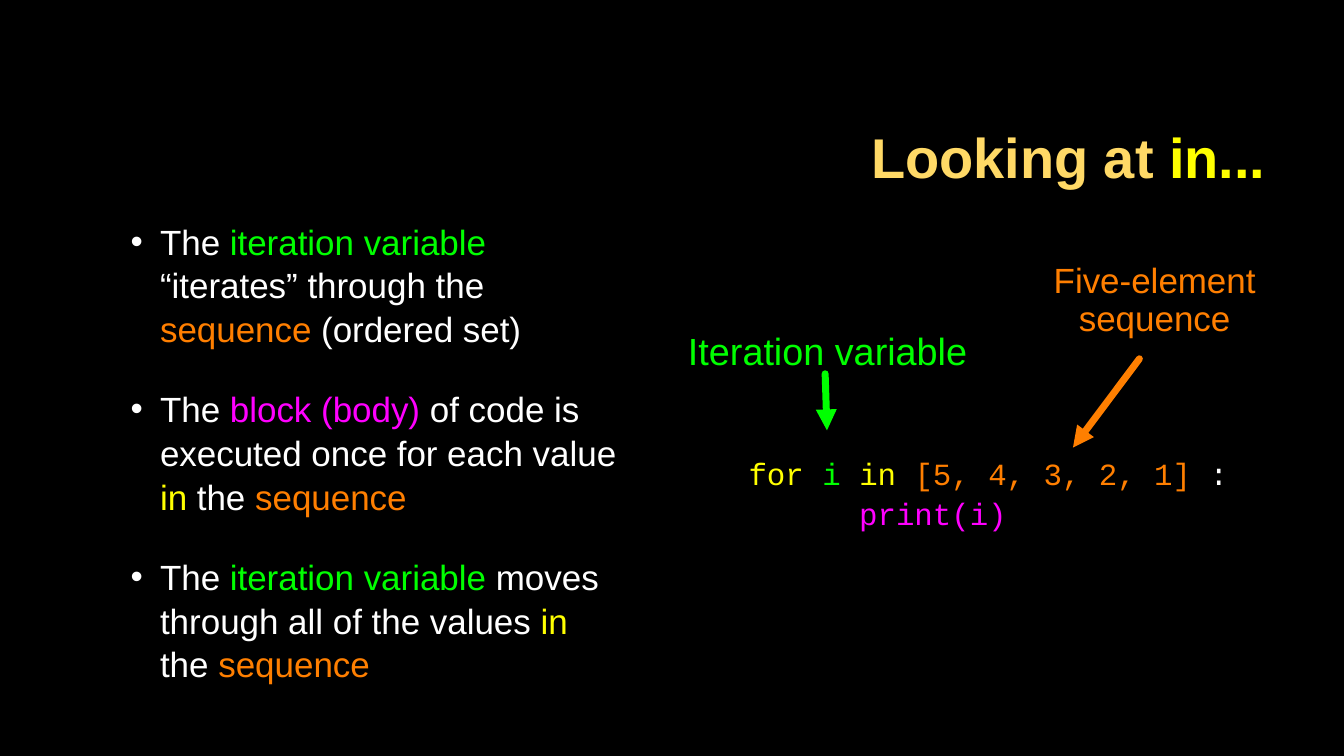
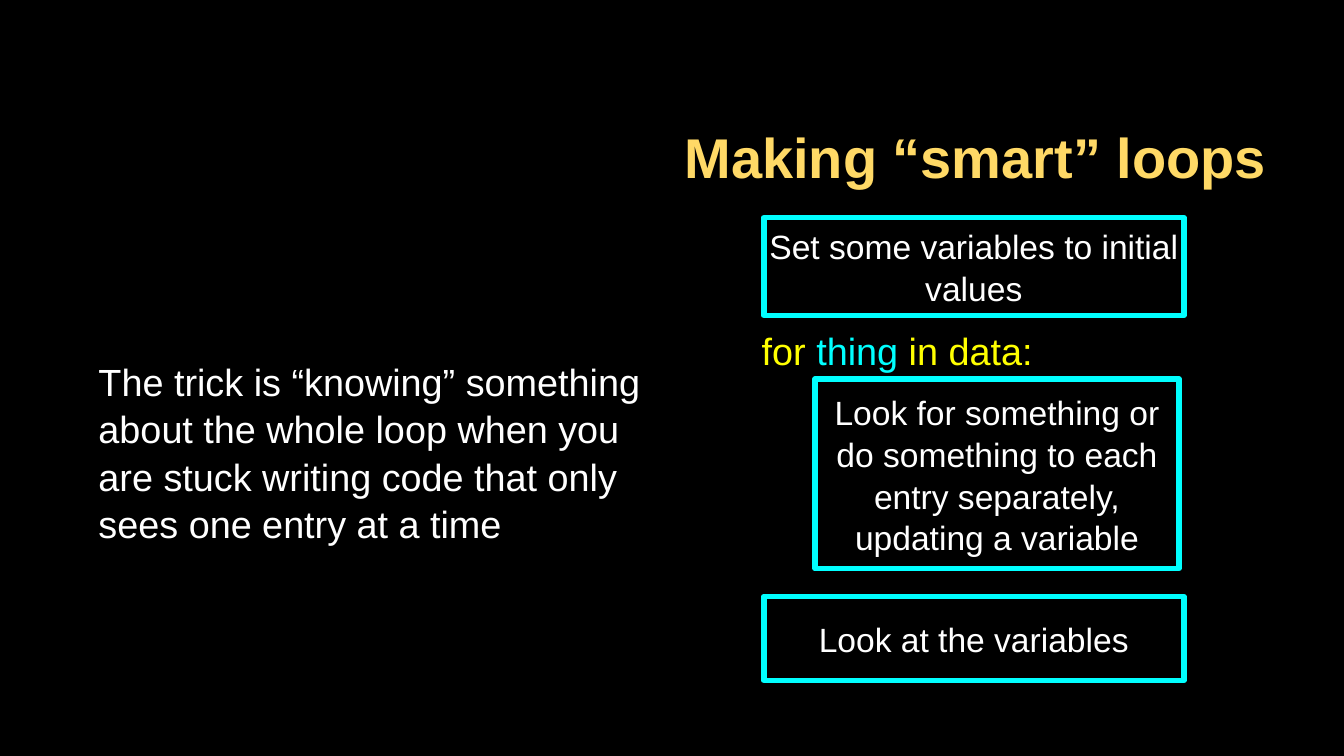
import lxml.etree
import pptx
import pptx.dml.color
import pptx.enum.shapes
import pptx.enum.text
import pptx.oxml
import pptx.oxml.ns
import pptx.util

Pt = pptx.util.Pt
rgb = pptx.dml.color.RGBColor.from_string
qn = pptx.oxml.ns.qn
PP_ALIGN = pptx.enum.text.PP_ALIGN

BLACK, WHITE, GOLD = "000000", "FFFFFF", "FFD966"
YELLOW, GREEN, ORANGE = "FFFF00", "00FF00", "FF7F00"
MAGENTA, CYAN = "FF00FF", "00FFFF"


def add_text(s, box, paragraphs, size, font="Arial", bold=False, align=PP_ALIGN.LEFT,
             spacing=1.04, gap=0, inset=0, bullet=False, border=None):
    """Add a text box, or a bordered rectangle; each paragraph is a list of (text, colour)."""
    box = [Pt(v) for v in box]
    if border:
        sp = s.shapes.add_shape(pptx.enum.shapes.MSO_SHAPE.RECTANGLE, *box)
        sp.shadow.inherit = False
        sp.fill.background()
        sp.line.color.rgb = rgb(border)
        sp.line.width = Pt(4)
    else:
        sp = s.shapes.add_textbox(*box)
    tf = sp.text_frame
    tf.word_wrap = True
    tf.vertical_anchor = pptx.enum.text.MSO_ANCHOR.MIDDLE
    tf.margin_left = tf.margin_top = tf.margin_right = tf.margin_bottom = Pt(inset)
    for i, runs in enumerate(paragraphs):
        p = tf.add_paragraph() if i else tf.paragraphs[0]
        p.alignment = align
        p.line_spacing = spacing
        if i and gap:
            p.space_before = Pt(gap)
        if bullet:
            pPr = p._p.get_or_add_pPr()
            pPr.set("marL", str(Pt(44)))
            pPr.set("indent", str(Pt(-21)))
            clr = lxml.etree.SubElement(pPr, qn("a:buClr"))
            lxml.etree.SubElement(clr, qn("a:srgbClr"), val=WHITE)
            lxml.etree.SubElement(pPr, qn("a:buFont"), typeface="Arial")
            lxml.etree.SubElement(pPr, qn("a:buChar"), char="•")
        for text, color in runs:
            r = p.add_run()
            r.text = text
            r.font.name = font
            r.font.size = Pt(size)
            r.font.bold = bold
            r.font.color.rgb = rgb(color)
    return sp


prs = pptx.Presentation()
prs.slide_width, prs.slide_height = Pt(960.48), Pt(540)
bg = prs.slide_master.background.fill
bg.solid()
bg.fore_color.rgb = rgb(BLACK)

titles = [
    [("Looking at ", GOLD), ("in...", YELLOW)],
    [("Making “smart” loops", GOLD)],
]
slides = []
for title in titles:
    s = prs.slides.add_slide(prs.slide_layouts[6])
    add_text(s, (228, 60.5, 678.5, 101.5), [title], 40, bold=True,
             align=PP_ALIGN.RIGHT, spacing=1, inset=2)
    slides.append(s)
in_slide, loops_slide = slides

# Slide 1: the parts of a for loop
add_text(in_slide, (68.4, 154, 377.3, 337), [
    [("The ", WHITE), ("iteration variable ", GREEN), ("“iterates” through the ", WHITE),
     ("sequence ", ORANGE), ("(ordered set)", WHITE)],
    [("The ", WHITE), ("block (body)", MAGENTA),
     (" of code is executed once for each value ", WHITE), ("in", YELLOW),
     (" the ", WHITE), ("sequence", ORANGE)],
    [("The ", WHITE), ("iteration variable ", GREEN),
     ("moves through all of the values ", WHITE), ("in", YELLOW),
     (" the ", WHITE), ("sequence", ORANGE)],
], 25, gap=26.2, inset=2, bullet=True)
add_text(in_slide, (535, 311.8, 376, 78.5), [
    [("for ", YELLOW), ("i ", GREEN), ("in ", YELLOW), ("[5, 4, 3, 2, 1] ", ORANGE),
     (":", WHITE)],
    [("      print(i)", MAGENTA)],
], 22, font="Courier New", spacing=1.08)
add_text(in_slide, (489.6, 231, 203.8, 36.7), [[("Iteration variable", GREEN)]], 27,
         align=PP_ALIGN.CENTER)
add_text(in_slide, (707.8, 184.3, 234.7, 61.2), [[("Five-element sequence", ORANGE)]], 25,
         align=PP_ALIGN.CENTER, spacing=0.92)

arrows = [
    ((589.7, 267), (591, 307.4), GREEN),
    ((814.3, 256.3), (766.8, 319.7), ORANGE),
]
for start, end, color in arrows:
    arrow = in_slide.shapes.add_connector(pptx.enum.shapes.MSO_CONNECTOR.STRAIGHT,
                                          *[Pt(v) for v in start + end])
    arrow.line.color.rgb = rgb(color)
    arrow.line.width = Pt(5)
    ln = arrow.line._get_or_add_ln()
    ln.set("cap", "rnd")
    lxml.etree.SubElement(ln, qn("a:tailEnd"), type="triangle")
    lxml.etree.SubElement(arrow._element.spPr, qn("a:effectLst"))

# Slide 2: the pattern of a loop
add_text(loops_slide, (68.4, 154, 404, 337), [[(
    "The trick is “knowing” something about the whole loop when you are stuck "
    "writing code that only sees one entry at a time", WHITE)]], 27, inset=2)
steps = [
    ((545.8, 155.5, 300.2, 69.8), "Set some variables to initial values"),
    ((582.5, 270.7, 260, 135.4),
     "Look for something or do something to each entry separately, updating a variable"),
    ((545.8, 426.2, 300.2, 59.8), "Look at the variables"),
]
for box, text in steps:
    add_text(loops_slide, box, [[(text, WHITE)]], 24, align=PP_ALIGN.CENTER, border=CYAN)
add_text(loops_slide, (540.7, 231, 200.9, 36.7),
         [[("for ", YELLOW), ("thing", CYAN), (" in data:", YELLOW)]], 27,
         align=PP_ALIGN.CENTER)

prs.save("out.pptx")
